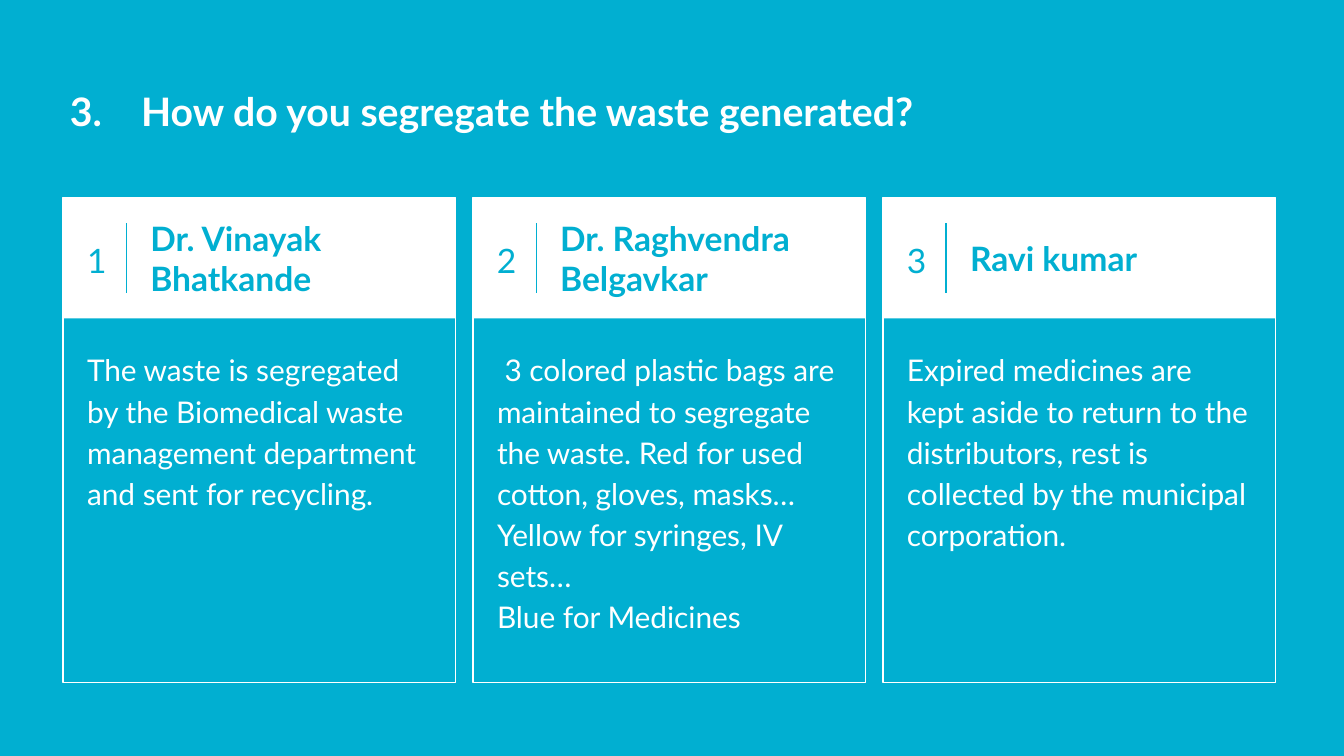
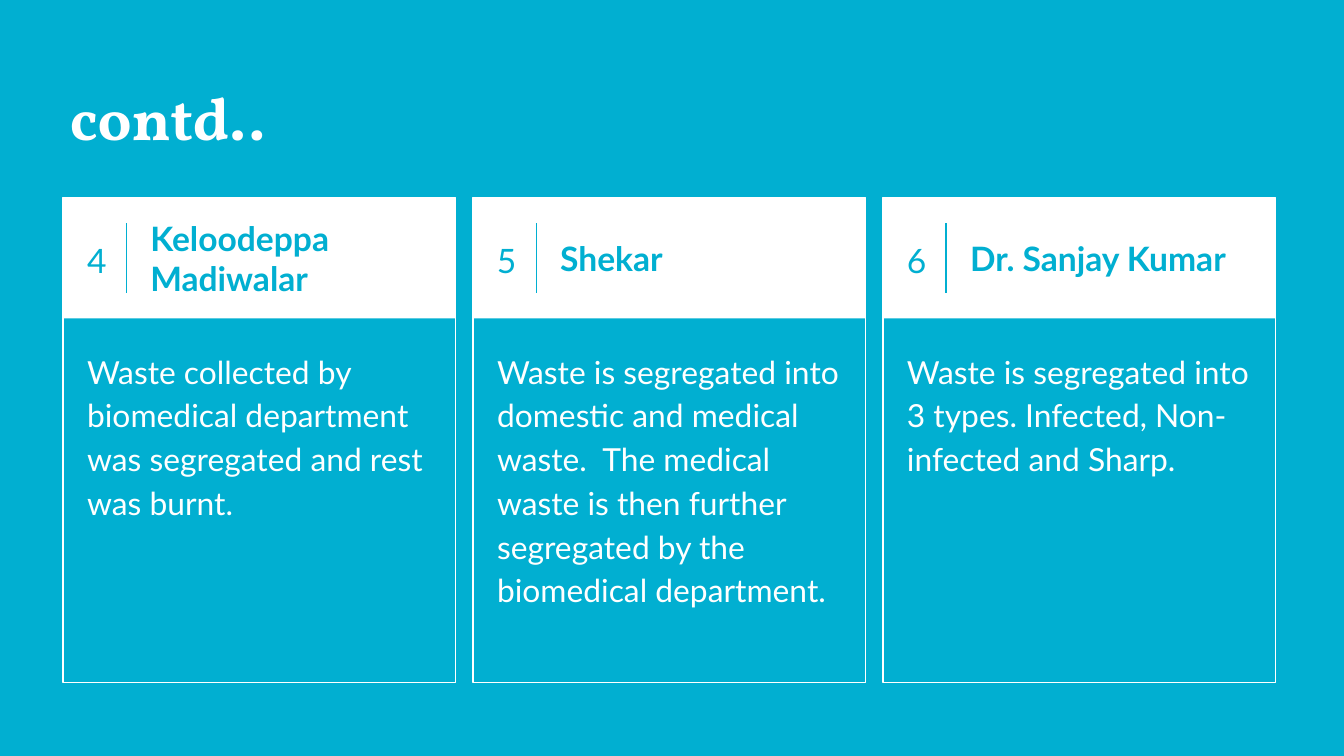
"""Build two slides of interview answers, three numbered cards on each."""
import pptx
import pptx.dml.color
import pptx.enum.shapes
import pptx.enum.text
import pptx.oxml
import pptx.oxml.ns
import pptx.util

Inches = pptx.util.Inches
ALIGN = pptx.enum.text.PP_ALIGN
ANCHOR = pptx.enum.text.MSO_ANCHOR
BLUE, WHITE = "01AFD1", "FFFFFF"
BODY_FONT, TITLE_FONT = "Lato", "Vollkorn"
LEFT, TOP, PITCH = 0.47, 1.47, 3.05
CARD_W, CARD_H, HEADER_H = 2.92, 3.61, 0.9

WASTE_CARDS = [
    ("Dr. Vinayak Bhatkande",
     ["The waste is segregated by the Biomedical waste management department "
      "and sent for recycling."]),
    ("Dr. Raghvendra Belgavkar",
     [" 3 colored plastic bags are maintained to segregate the waste. Red for used "
      "cotton, gloves, masks… Yellow for syringes, IV sets…",
      "Blue for Medicines"]),
    ("Ravi kumar",
     ["Expired medicines are kept aside to return to the distributors, rest is "
      "collected by the municipal corporation."]),
]
MORE_CARDS = [
    ("Keloodeppa  Madiwalar",
     ["Waste collected by biomedical department was segregated and rest was burnt."]),
    ("Shekar",
     ["Waste is segregated into domestic and medical waste.  The medical waste is "
      "then further segregated by the biomedical department."]),
    ("Dr. Sanjay Kumar",
     ["Waste is segregated into 3 types. Infected, Non-infected and Sharp."]),
]


def rgb(color):
    return pptx.dml.color.RGBColor.from_string(color)


def place(sp, x, y, w, h):
    sp.left, sp.top, sp.width, sp.height = (Inches(v) for v in (x, y, w, h))


def write(tf, paragraphs, size, font=BODY_FONT, color=WHITE, bold=False,
          align=ALIGN.LEFT, anchor=ANCHOR.TOP, spacing=1.0, hanging=0):
    tf.word_wrap = True
    tf.auto_size = pptx.enum.text.MSO_AUTO_SIZE.NONE
    tf.vertical_anchor = anchor
    tf.margin_left = tf.margin_right = tf.margin_top = tf.margin_bottom = Inches(0.1)
    for i, text in enumerate(paragraphs):
        p = tf.paragraphs[0] if i == 0 else tf.add_paragraph()
        p.alignment, p.line_spacing = align, spacing
        if hanging:
            pPr = p._p.get_or_add_pPr()
            pPr.set("marL", str(Inches(hanging)))
            pPr.set("indent", str(-Inches(hanging)))
        r = p.add_run()
        r.text = text
        r.font.name, r.font.size, r.font.bold = font, pptx.util.Pt(size), bold
        r.font.color.rgb = rgb(color)


def add_text(s, x, y, w, h, paragraphs, size, **style):
    write(s.shapes.add_textbox(*map(Inches, (x, y, w, h))).text_frame,
          paragraphs, size, **style)


def add_rect(shapes, x, y, w, h, fill=None, line=None):
    sp = shapes.add_shape(pptx.enum.shapes.MSO_SHAPE.RECTANGLE,
                          *map(Inches, (x, y, w, h)))
    sp.shadow.inherit = False
    if fill:
        sp.fill.solid()
        sp.fill.fore_color.rgb = rgb(fill)
    else:
        sp.fill.background()
    if line:
        sp.line.color.rgb = rgb(line)
        sp.line.width = pptx.util.Pt(0.75)
    else:
        sp.line.fill.background()


def add_divider(s, x, y1, y2):
    ln = s.shapes.add_connector(pptx.enum.shapes.MSO_CONNECTOR.STRAIGHT,
                                *map(Inches, (x, y1, x, y2)))
    ln.line.color.rgb = rgb(BLUE)
    ln.line.width = pptx.util.Pt(0.75)
    ln._element.spPr.append(pptx.oxml.parse_xml(
        "<a:effectLst %s/>" % pptx.oxml.ns.nsdecls("a")))


def add_card(s, x, number, name, answer, size):
    grp = s.shapes.add_group_shape()
    add_rect(grp.shapes, x, TOP, CARD_W, CARD_H, line=WHITE)
    add_rect(grp.shapes, x, TOP, CARD_W, HEADER_H, fill=WHITE)
    add_text(s, x + 0.06, 1.46, 0.38, HEADER_H, [str(number)], 18, color=BLUE,
             align=ALIGN.CENTER, anchor=ANCHOR.MIDDLE, spacing=1.15)
    add_divider(s, x + 0.47, 1.66, 2.18)
    add_text(s, x + 0.55, TOP, 2.3, HEADER_H, [name], 18, color=BLUE, bold=True,
             anchor=ANCHOR.MIDDLE)
    add_text(s, x + 0.08, 2.48, 2.77, 2.6, answer, size, spacing=1.15)


def add_slide(prs, title, cards, first, answer_size, **title_style):
    s = prs.slides.add_slide(prs.slide_layouts.get_by_name("Title Only"))
    place(s.shapes.title, 0.42, 0.5, 9.15, 0.75)
    write(s.shapes.title.text_frame, [title], bold=True, **title_style)
    for i, (name, answer) in enumerate(cards):
        add_card(s, LEFT + i * PITCH, first + i, name, answer, answer_size)


def main():
    prs = pptx.Presentation()
    prs.slide_width = Inches(10)
    prs.slide_height = prs.slide_width * 9 // 16
    fill = prs.slide_master.background.fill
    fill.solid()
    fill.fore_color.rgb = rgb(BLUE)
    add_slide(prs, "3.\tHow do you segregate the waste generated?", WASTE_CARDS,
              first=1, answer_size=16, size=21, spacing=1.15, hanging=0.53)
    add_slide(prs, "contd..", MORE_CARDS,
              first=4, answer_size=17, size=32, font=TITLE_FONT)
    prs.save("out.pptx")


if __name__ == "__main__":
    main()
